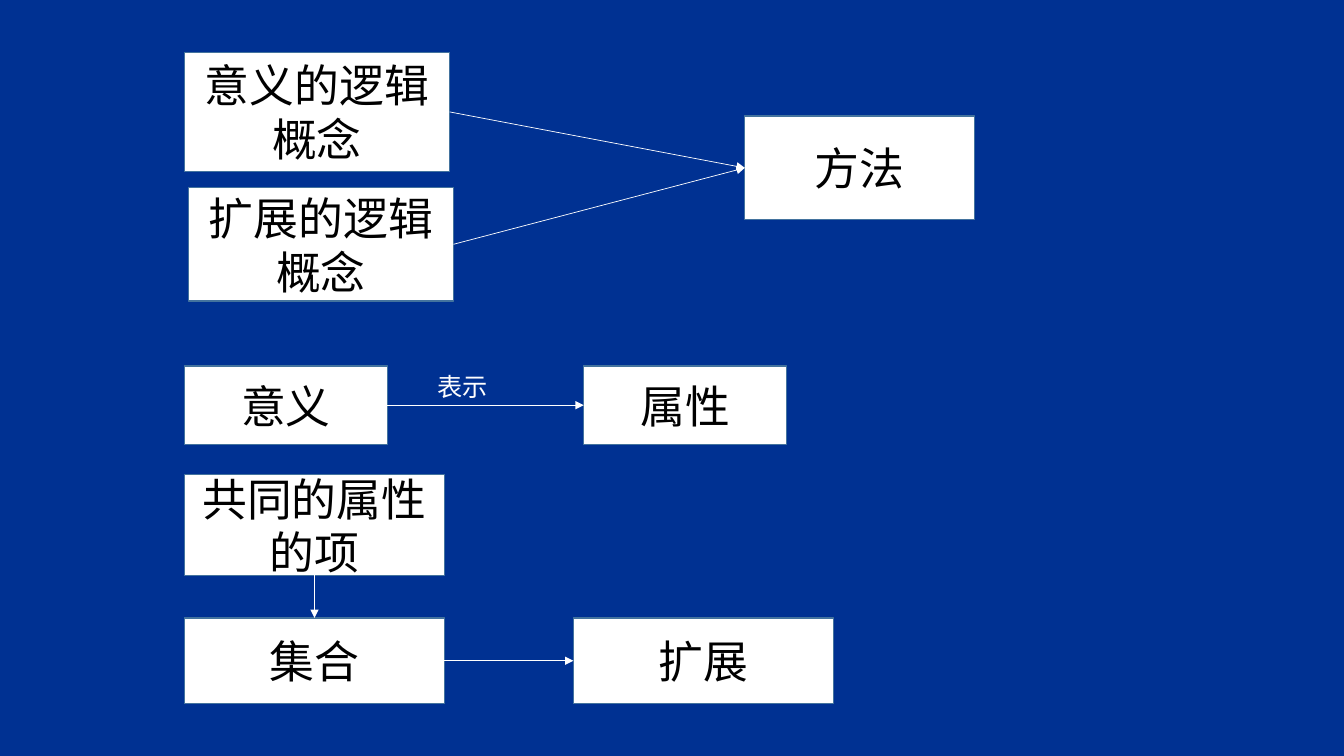
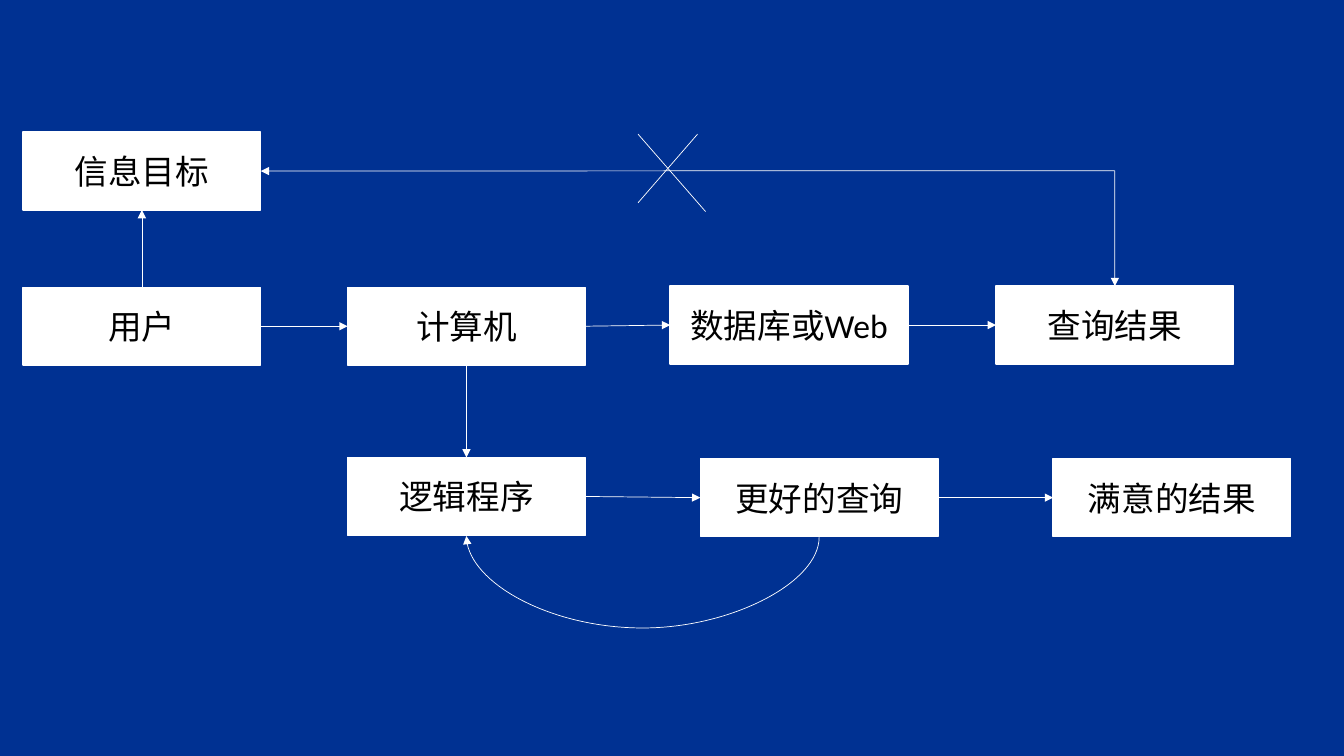
from lxml import etree
from pptx import Presentation
from pptx.dml.color import RGBColor
from pptx.enum.shapes import MSO_CONNECTOR as LINK, MSO_SHAPE as SHAPE
from pptx.enum.text import MSO_ANCHOR as ANCHOR, PP_ALIGN as ALIGN
from pptx.oxml.ns import qn
from pptx.util import Cm, Pt

COLORS = {"background": "003192", "white": "FFFFFF", "edge": "43739E", "black": "000000"}
FONT = "Calibri"
TOP, LEFT, BOTTOM, RIGHT = range(4)  # connection sites of a rectangle

# Content: boxes as text -> (left, top, width, height) in cm
CONCEPT_BOXES = {
    "意义的逻辑概念": (4.65, 1.32, 6.68, 3),
    "扩展的逻辑概念": (4.75, 4.72, 6.68, 2.87),
    "方法": (18.77, 2.92, 5.79, 2.62),
    "属性": (14.71, 9.22, 5.11, 1.98),
    "意义": (4.65, 9.22, 5.11, 1.98),
    "扩展": (14.45, 15.57, 6.55, 2.16),
    "集合": (4.65, 15.57, 6.55, 2.16),
    "共同的属性的项": (4.65, 11.96, 6.55, 2.54),
}
CONCEPT_ARROWS = [
    ("意义的逻辑概念", RIGHT, "方法", LEFT),
    ("扩展的逻辑概念", RIGHT, "方法", LEFT),
    ("意义", RIGHT, "属性", LEFT),
    ("共同的属性的项", BOTTOM, "集合", TOP),
    ("集合", RIGHT, "扩展", LEFT),
]
ARROW_LABEL = ("表示", (10.77, 9.22, 2.77, 1.02))

QUERY_SIZE = (5.99, 1.96)
QUERY_PLACES = {
    "信息目标": (0.58, 3.33),
    "用户": (0.58, 7.24),
    "计算机": (8.76, 7.24),
    "数据库或Web": (16.89, 7.21),
    "查询结果": (25.1, 7.21),
    "逻辑程序": (8.76, 11.53),
    "更好的查询": (17.65, 11.56),
    "满意的结果": (26.54, 11.56),
}
QUERY_ARROWS = [
    ("用户", TOP, "信息目标", BOTTOM),
    ("用户", RIGHT, "计算机", LEFT),
    ("计算机", RIGHT, "数据库或Web", LEFT),
    ("数据库或Web", RIGHT, "查询结果", LEFT),
    ("计算机", BOTTOM, "逻辑程序", TOP),
    ("逻辑程序", RIGHT, "更好的查询", LEFT),
    ("更好的查询", RIGHT, "满意的结果", LEFT),
]
FEEDBACK_CORNER = (28.09, 4.3)
FEEDBACK_ENDS = [("查询结果", TOP), ("信息目标", RIGHT)]
CROSS_STROKES = [(16.08, 3.38, 17.78, 5.33), (17.58, 3.38, 16.08, 5.11)]
LOOP_DEPTH, LOOP_WIDTH = 2.29, 0.03


def rgb(name):
    return RGBColor.from_string(COLORS[name])


def write(shape, text, size, color, align=ALIGN.LEFT):
    frame = shape.text_frame
    frame.word_wrap = True
    paragraph = frame.paragraphs[0]
    paragraph.alignment = align
    run = paragraph.add_run()
    run.text = text
    for name, value in {"name": FONT, "size": Pt(size)}.items():
        setattr(run.font, name, value)
    run.font.color.rgb = rgb(color)
    return frame


def add_boxes(slide, boxes, size, edge):
    shapes = {}
    for text, place in boxes.items():
        shape = slide.shapes.add_shape(SHAPE.RECTANGLE, *map(Cm, place))
        shape.shadow.inherit = False
        shape.fill.solid()
        shape.fill.fore_color.rgb = rgb("white")
        shape.line.color.rgb = rgb(edge)
        shape.line.width = Pt(1)
        frame = write(shape, text, size, "black", ALIGN.CENTER)
        frame.vertical_anchor = ANCHOR.MIDDLE
        shapes[text] = shape
    return shapes


def add_line(shapes, points=(0, 0, 0, 0), kind=LINK.STRAIGHT, arrow=True):
    line = shapes.add_connector(kind, *map(Cm, points))
    line.line.color.rgb = rgb("white")
    line.line.width = Pt(0.5)
    if arrow:
        etree.SubElement(line.line._get_or_add_ln(), qn("a:tailEnd"), type="triangle")
    etree.SubElement(line._element.spPr, qn("a:effectLst"))
    return line


def add_arrows(slide, boxes, arrows):
    for start, start_site, end, end_site in arrows:
        line = add_line(slide.shapes)
        line.begin_connect(boxes[start], start_site)
        line.end_connect(boxes[end], end_site)


def add_loop(slide, start, end):
    """Curved arrow below two boxes, from bottom to bottom."""
    line = add_line(slide.shapes, kind=LINK.CURVE)
    line.begin_connect(start, BOTTOM)
    line.end_connect(end, BOTTOM)
    start_x, end_x = (box.left + box.width // 2 for box in (start, end))
    span = start_x - end_x
    # The frame is a thin upright strip, turned a quarter
    line.width, line.height = Cm(LOOP_WIDTH), span
    line.left = (start_x + end_x - line.width) // 2
    line.top = start.top + start.height - span // 2
    properties = line._element.spPr
    frame = properties.find(qn("a:xfrm"))
    for name in ("flipH", "flipV"):
        frame.attrib.pop(name, None)
    frame.set("rot", "5400000")
    frame.set("flipH", "1")
    adjustments = properties.find(qn("a:prstGeom")).find(qn("a:avLst"))
    bend = round(-LOOP_DEPTH / LOOP_WIDTH * 100000)
    etree.SubElement(adjustments, qn("a:gd"), name="adj1", fmla=f"val {bend}")


presentation = Presentation()
presentation.slide_width, presentation.slide_height = Cm(33.87), Cm(19.05)
background = presentation.slide_master.background.fill
background.solid()
background.fore_color.rgb = rgb("background")
blank = presentation.slide_layouts[6]

# Slide 1: concepts and methods
slide = presentation.slides.add_slide(blank)
boxes = add_boxes(slide, CONCEPT_BOXES, 32, "edge")
add_arrows(slide, boxes, CONCEPT_ARROWS)
label, place = ARROW_LABEL
write(slide.shapes.add_textbox(*map(Cm, place)), label, 18, "white")

# Slide 2: query flow
slide = presentation.slides.add_slide(blank)
query_boxes = {text: place + QUERY_SIZE for text, place in QUERY_PLACES.items()}
boxes = add_boxes(slide, query_boxes, 24, "white")
add_arrows(slide, boxes, QUERY_ARROWS)
add_loop(slide, boxes["更好的查询"], boxes["逻辑程序"])

# Crossed-out feedback from the results to the goal
for text, site in FEEDBACK_ENDS:
    add_line(slide.shapes, FEEDBACK_CORNER * 2).end_connect(boxes[text], site)
cross = slide.shapes.add_group_shape()
for stroke in CROSS_STROKES:
    add_line(cross.shapes, stroke, arrow=False)

presentation.save("out.pptx")
